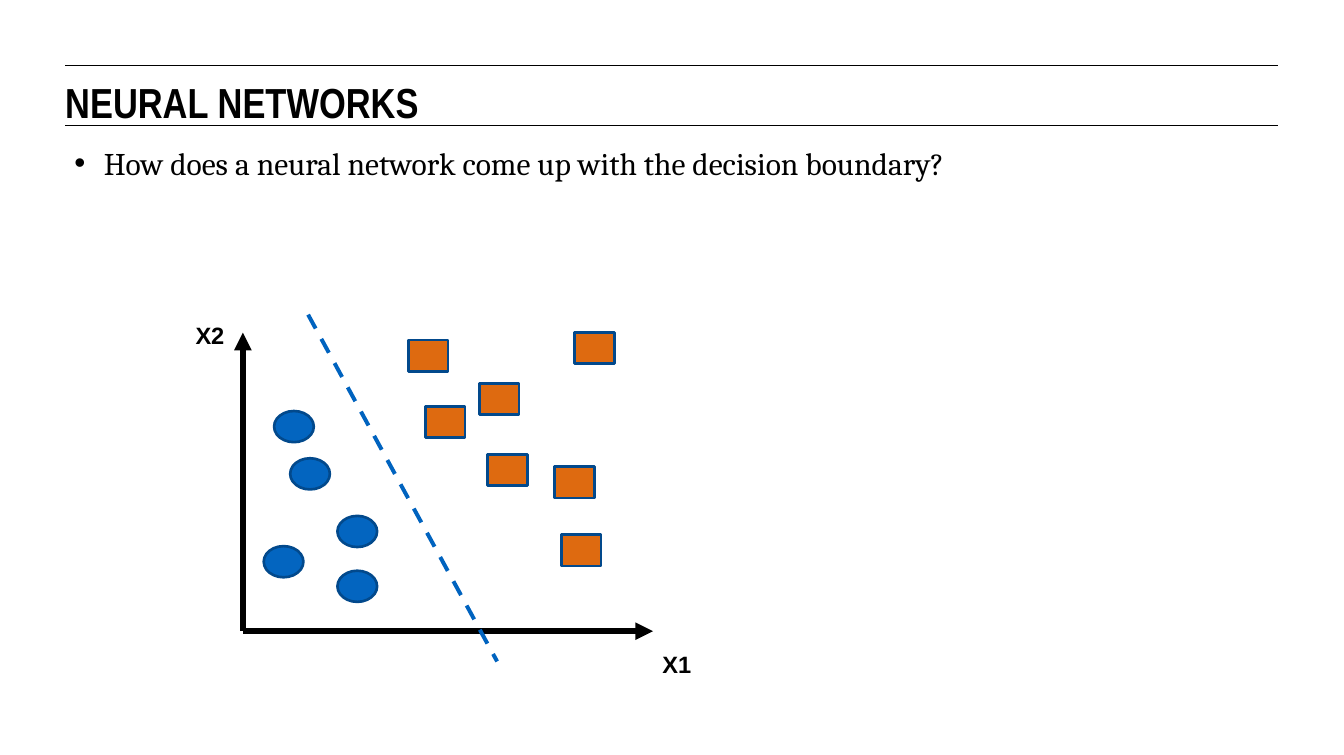
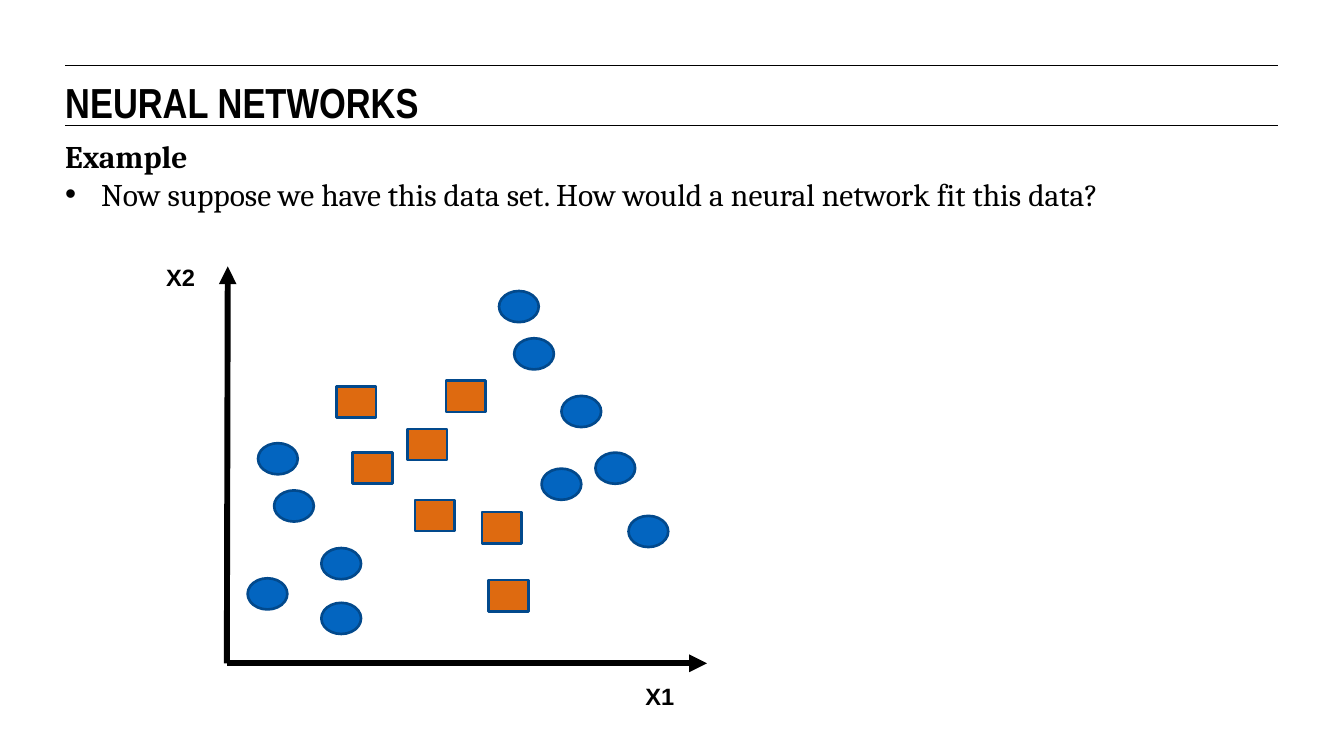
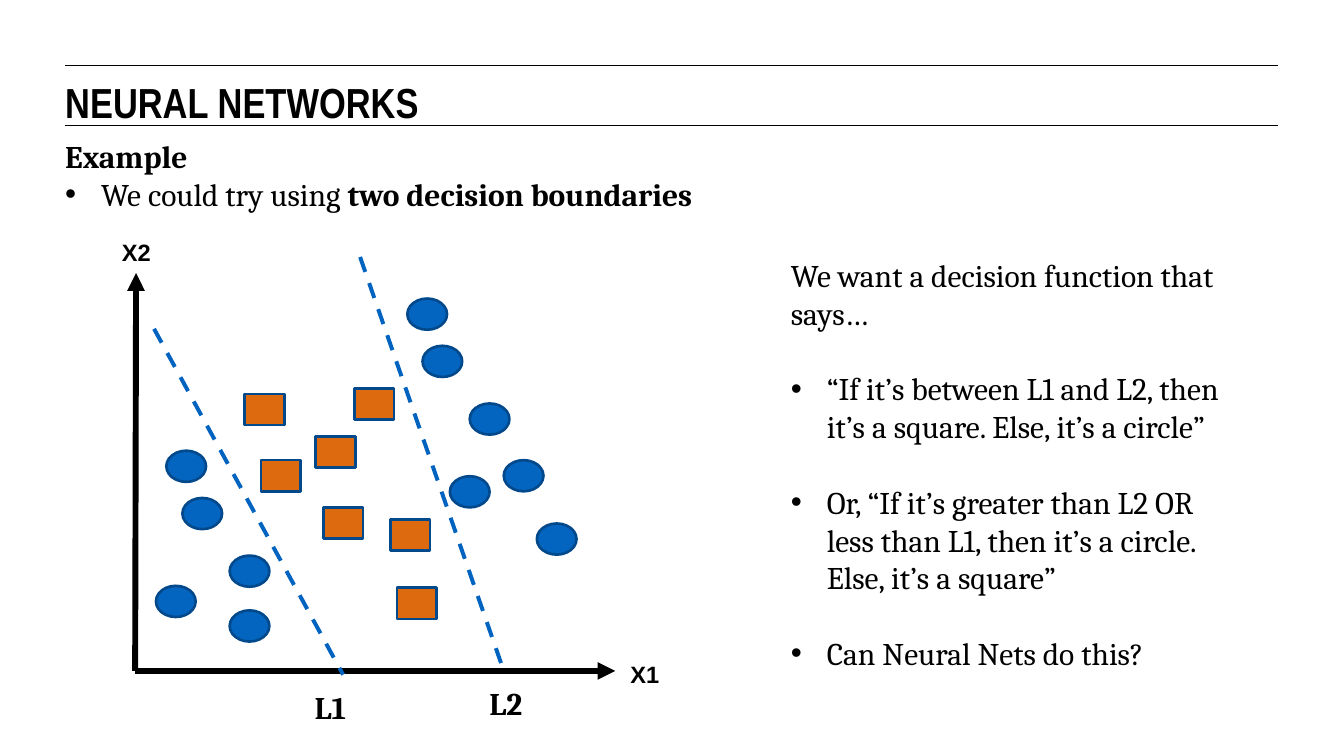
"""Build three slides on neural network decision boundaries."""
from dataclasses import dataclass

import lxml.etree
import pptx
import pptx.dml.color
import pptx.enum.dml
import pptx.enum.shapes
import pptx.enum.text
import pptx.oxml
import pptx.oxml.ns
import pptx.util

Inches = pptx.util.Inches
Pt = pptx.util.Pt
RGBColor = pptx.dml.color.RGBColor
MSO_SHAPE = pptx.enum.shapes.MSO_SHAPE

BLACK = RGBColor(0x00, 0x00, 0x00)
CIRCLE_BLUE = RGBColor(0x03, 0x65, 0xC0)
SQUARE_ORANGE = RGBColor(0xDE, 0x6A, 0x10)
OUTLINE_BLUE = RGBColor(0x02, 0x49, 0x8C)
BOUNDARY_BLUE = RGBColor(0x00, 0x63, 0xBF)

TITLE_FONT, BODY_FONT, LABEL_FONT = "Arial Narrow", "Cambria", "Arial"
BODY_SIZE, BODY_LINE = 24, 28.8
MARGIN, CONTENT_WIDTH = 0.69, 12.83
RULE_TOPS = (0.69, 1.33)
MARKER_WIDTH, MARKER_HEIGHT = 0.42, 0.33
NO_INSETS, BOX_INSETS = (0, 0), (0.1, 0.05)

Point = tuple[float, float]
Box = tuple[float, float, float, float]


@dataclass(frozen=True)
class Line:
    """One paragraph, with an optional bold ending and hanging bullet."""

    text: str
    bold: bool = False
    bold_ending: str = ""
    hanging: float = 0
    space_before: float = 0


@dataclass(frozen=True)
class Plot:
    """A scatter plot whose markers are placed from its origin."""

    origin: Point
    axis_top: Point
    axis_right: float
    x1_label: Point
    x2_label: Point
    circles: tuple[Point, ...]
    squares: tuple[Point, ...]
    boundaries: tuple[tuple[Point, Point], ...] = ()


LEFT_CIRCLES = ((0.33, -2.33), (0.5, -1.83), (1, -1.22), (0.22, -0.9), (1, -0.64))
RIGHT_CIRCLES = (
    (2.88, -3.94), (3.04, -3.44), (3.54, -2.83),
    (3.9, -2.23), (3.33, -2.06), (4.25, -1.56),
)
MIDDLE_SQUARES = (
    (1.16, -2.93), (1.91, -2.48), (1.33, -2.23), (2.32, -2.99),
    (2.7, -1.6), (1.99, -1.73), (2.77, -0.88),
)
SEPARATED_SQUARES = (
    (1.75, -3.08), (2.5, -2.62), (1.93, -2.38), (3.51, -3.16),
    (3.3, -1.74), (2.59, -1.87), (3.37, -1.02),
)

SEPARABLE_PLOT = Plot(
    (2.57, 6.68), (2.57, 3.52), 6.91, (6.91, 6.83), (1.97, 3.35),
    LEFT_CIRCLES, SEPARATED_SQUARES, (((3.26, 3.33), (5.26, 7)),),
)
MIXED_PLOT = Plot(
    (2.4, 7.02), (2.41, 2.82), 7.48, (6.73, 7.17), (1.66, 2.73),
    LEFT_CIRCLES + RIGHT_CIRCLES, MIDDLE_SQUARES,
)
TWO_BOUNDARY_PLOT = Plot(
    (1.43, 7.1), (1.44, 2.89), 6.51, (6.57, 6.93), (1.19, 2.47),
    LEFT_CIRCLES + RIGHT_CIRCLES, MIDDLE_SQUARES,
    (((1.63, 3.48), (3.63, 7.14)), ((3.81, 2.72), (5.33, 7.1))),
)


def add_bullet(paragraph, hanging: float) -> None:
    """Give a paragraph a round bullet with a hanging indent."""
    properties = paragraph._p.get_or_add_pPr()
    properties.set("marL", str(Inches(hanging)))
    properties.set("indent", str(-Inches(hanging)))
    for tag, name, value in (("a:buFont", "typeface", "Arial"), ("a:buChar", "char", "•")):
        lxml.etree.SubElement(properties, pptx.oxml.ns.qn(tag)).set(name, value)


def write_text(
    shape,
    *lines: Line,
    font: str = BODY_FONT,
    size: float = BODY_SIZE,
    insets: Point = BOX_INSETS,
) -> None:
    """Write black, left-aligned paragraphs into a shape."""
    frame = shape.text_frame
    frame.word_wrap = True
    frame.auto_size = pptx.enum.text.MSO_AUTO_SIZE.NONE
    frame.vertical_anchor = pptx.enum.text.MSO_ANCHOR.TOP
    frame.margin_left = frame.margin_right = Inches(insets[0])
    frame.margin_top = frame.margin_bottom = Inches(insets[1])
    for index, line in enumerate(lines):
        paragraph = frame.add_paragraph() if index else frame.paragraphs[0]
        paragraph.alignment = pptx.enum.text.PP_ALIGN.LEFT
        if line.hanging:
            add_bullet(paragraph, line.hanging)
        if line.space_before:
            paragraph.space_before = Pt(line.space_before)
        for text, bold in ((line.text, line.bold), (line.bold_ending, True)):
            if text:
                run = paragraph.add_run()
                run.text = text
                run.font.name = font
                run.font.size = Pt(size)
                run.font.bold = bold
                run.font.color.rgb = BLACK


def add_text(slide, box: Box, *lines: Line, **text_format) -> None:
    """Add a text box holding the given paragraphs."""
    shape = slide.shapes.add_textbox(*map(Inches, box))
    write_text(shape, *lines, **text_format)


def add_line(
    slide,
    start: Point,
    end: Point,
    color: RGBColor,
    width: float,
    arrow: bool = False,
    dashed: bool = False,
):
    """Add a straight line without a shadow."""
    connector = slide.shapes.add_connector(
        pptx.enum.shapes.MSO_CONNECTOR.STRAIGHT, *map(Inches, start + end)
    )
    connector.line.color.rgb = color
    connector.line.width = Pt(width)
    if dashed:
        connector.line.dash_style = pptx.enum.dml.MSO_LINE.DASH
    if arrow:
        outline = connector.line._get_or_add_ln()
        lxml.etree.SubElement(outline, pptx.oxml.ns.qn("a:tailEnd")).set("type", "triangle")
    lxml.etree.SubElement(connector.element.spPr, pptx.oxml.ns.qn("a:effectLst"))
    return connector


def add_marker(slide, origin: Point, offset: Point, kind, fill: RGBColor) -> None:
    """Add one data point to a plot."""
    shape = slide.shapes.add_shape(
        kind,
        Inches(origin[0] + offset[0]),
        Inches(origin[1] + offset[1]),
        Inches(MARKER_WIDTH),
        Inches(MARKER_HEIGHT),
    )
    shape.shadow.inherit = False
    shape.fill.solid()
    shape.fill.fore_color.rgb = fill
    shape.line.color.rgb = OUTLINE_BLUE
    shape.line.width = Pt(2)


def add_plot(slide, plot: Plot) -> None:
    """Draw the axes, markers, labels and boundaries of a plot."""
    for end in (plot.axis_top, (plot.axis_right, plot.origin[1])):
        add_line(slide, plot.origin, end, BLACK, 4.5, arrow=True)
    for offsets, kind, fill in (
        (plot.circles, MSO_SHAPE.OVAL, CIRCLE_BLUE),
        (plot.squares, MSO_SHAPE.RECTANGLE, SQUARE_ORANGE),
    ):
        for offset in offsets:
            add_marker(slide, plot.origin, offset, kind, fill)
    for text, corner in (("X2", plot.x2_label), ("X1", plot.x1_label)):
        add_text(slide, (*corner, 0.75, 0.34), Line(text, bold=True), font=LABEL_FONT, size=18)
    for start, end in plot.boundaries:
        add_line(slide, start, end, BOUNDARY_BLUE, 3, dashed=True)


def add_titled_slide(presentation, layout):
    """Add a slide with the shared title."""
    slide = presentation.slides.add_slide(layout)
    title = slide.shapes.title
    title.left, title.top = Inches(MARGIN), Inches(0.81)
    title.width, title.height = Inches(CONTENT_WIDTH), Inches(0.47)
    write_text(
        title, Line("NEURAL NETWORKS", bold=True), font=TITLE_FONT, size=32, insets=NO_INSETS
    )
    return slide


def add_example(slide, bullet: Line) -> None:
    """Add the example heading and its bullet."""
    add_text(
        slide, (MARGIN, 1.45, CONTENT_WIDTH, 1.36),
        Line("Example", bold=True), bullet, insets=NO_INSETS,
    )


def add_layout_rules(slide, layout) -> None:
    """Place the two rules around the title on the shared layout."""
    for top in RULE_TOPS:
        rule = add_line(slide, (MARGIN, top), (MARGIN + CONTENT_WIDTH, top), BLACK, 0.75)
        layout.shapes.element.append(rule.element)


def build_separable_slide(slide) -> None:
    """Show data split by one boundary."""
    add_plot(slide, SEPARABLE_PLOT)
    question = "How does a neural network come up with the decision boundary?"
    add_text(slide, (MARGIN, 1.47, 11.67, 0.5), Line(question, hanging=0.31))


def build_mixed_slide(slide) -> None:
    """Show data that one boundary cannot split."""
    question = "Now suppose we have this data set. How would a neural network fit this data?"
    add_example(slide, Line(question, hanging=0.38))
    add_plot(slide, MIXED_PLOT)


def build_two_boundary_slide(slide) -> None:
    """Show two boundaries and the decision function they give."""
    add_example(
        slide, Line("We could try using ", bold_ending="two decision boundaries", hanging=0.38)
    )
    add_plot(slide, TWO_BOUNDARY_PLOT)
    for name, left, top in (("L1", 3.23, 7.23), ("L2", 5.08, 7.19)):
        add_text(slide, (left, top, 1.02, 0.5), Line(name, bold=True))
    rules = (
        "“If it’s between L1 and L2, then it’s a square. Else, it’s a circle”",
        "Or, “If it’s greater than L2 OR less than L1, then it’s a circle. Else, it’s a square”",
        "Can Neural Nets do this?",
    )
    add_text(
        slide, (8.27, 2.66, 5, 4.95),
        Line("We want a decision function that says…"),
        *(Line(rule, hanging=0.38, space_before=BODY_LINE) for rule in rules),
    )


def main() -> None:
    """Build and save the presentation."""
    presentation = pptx.Presentation()
    presentation.slide_width, presentation.slide_height = Inches(14.22), Inches(7.99)
    layout = presentation.slide_layouts.get_by_name("Title Only")
    builders = (build_separable_slide, build_mixed_slide, build_two_boundary_slide)
    for index, build in enumerate(builders):
        slide = add_titled_slide(presentation, layout)
        if index == 0:
            add_layout_rules(slide, layout)
        build(slide)
    presentation.save("out.pptx")


if __name__ == "__main__":
    main()
